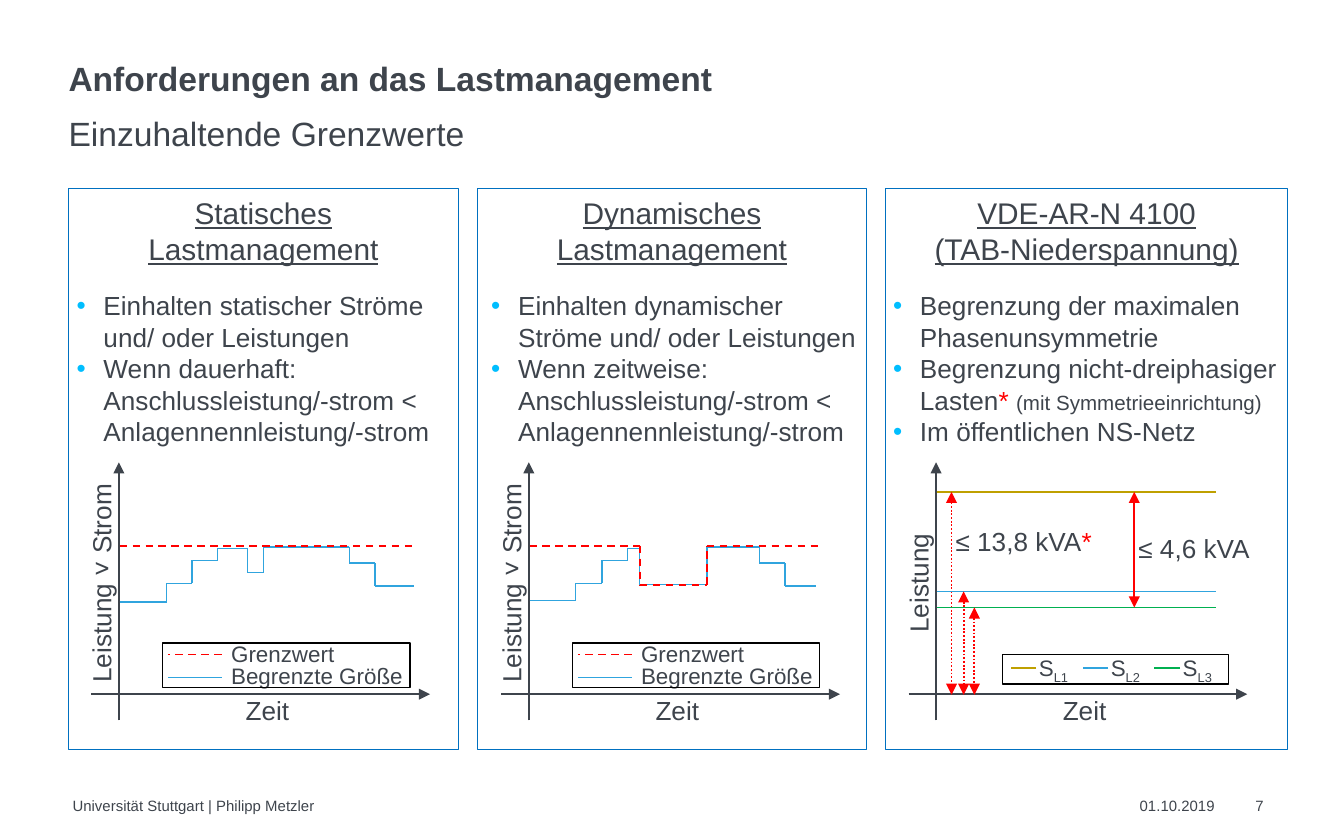
"""Build the slide on limits for load management on a grid of 100 columns."""
import itertools

import pptx
import pptx.dml.color
import pptx.enum.dml
import pptx.enum.text
import pptx.oxml.ns
import pptx.util
from lxml import etree

INK, RED, BLUE, GREEN, GOLD = "3E444C", "FF0000", "30A4DE", "00B050", "BFA000"
FRAME, BLACK, BULLET = "0070C0", "000000", "00BEFF"
DASH = pptx.enum.dml.MSO_LINE.DASH
DOTS = pptx.enum.dml.MSO_LINE.ROUND_DOT
ALIGN = pptx.enum.text.PP_ALIGN
ANCHOR = pptx.enum.text.MSO_ANCHOR
qn = pptx.oxml.ns.qn
rgb = pptx.dml.color.RGBColor.from_string

deck = pptx.Presentation()
deck.slide_width = pptx.util.Inches(10)
deck.slide_height = pptx.util.Inches(6.25)
cell = deck.slide_width // 100
slide = deck.slides.add_slide(deck.slide_layouts[4])
shapes = slide.shapes


def trace(points, colour, width=0.75, dash=None, ends=()):
    """Draw connectors from each grid point to the next."""
    spots = [(round(x * cell), round(y * cell)) for x, y in points]
    for begin, finish in itertools.pairwise(spots):
        segment = shapes.add_connector(1, *begin, *finish)
        segment.line.color.rgb = rgb(colour)
        segment.line.width = pptx.util.Pt(width)
        if dash:
            segment.line.dash_style = dash
        properties = segment._element.spPr
        for end in ends:
            etree.SubElement(properties.find(qn("a:ln")), qn(f"a:{end}"), type="triangle")
        etree.SubElement(properties, qn("a:effectLst"))


def write(place, paragraphs, size, box=None, align=ALIGN.LEFT, anchor=ANCHOR.TOP,
          spacing=1, before=0, bullet=False, bold=False, underline=False, inset=(0, 0)):
    """Fill a text box or shape; a paragraph is a list of (text, size, colour, baseline)."""
    lengths = [round(part * cell) for part in place]
    box = box or shapes.add_textbox(*lengths)
    box.left, box.top, box.width, box.height = lengths
    frame = box.text_frame
    frame.word_wrap = True
    frame.auto_size = pptx.enum.text.MSO_AUTO_SIZE.NONE
    frame.vertical_anchor = anchor
    frame.margin_left = frame.margin_right = round(inset[0] * cell)
    frame.margin_top = frame.margin_bottom = round(inset[1] * cell)
    for index, runs in enumerate(paragraphs):
        paragraph = frame.add_paragraph() if index else frame.paragraphs[0]
        paragraph.alignment = align
        paragraph.line_spacing = spacing
        paragraph.space_before = pptx.util.Pt(before)
        if bullet:
            settings = paragraph._p.get_or_add_pPr()
            settings.set("marL", str(2 * cell))
            settings.set("indent", str(-2 * cell))
            tint = etree.SubElement(settings, qn("a:buClr"))
            etree.SubElement(tint, qn("a:srgbClr"), val=BULLET)
            etree.SubElement(settings, qn("a:buChar"), char="•")
        font = paragraph.font
        font.name, font.size = "Arial", pptx.util.Pt(size)
        font.bold, font.underline = bold, underline
        font.color.rgb = rgb(INK)
        for text, run_size, colour, baseline in [
                (run, None, None, None) if isinstance(run, str) else run for run in runs]:
            piece = paragraph.add_run()
            piece.text = text
            if run_size:
                piece.font.size = pptx.util.Pt(run_size)
            if colour:
                piece.font.color.rgb = rgb(colour)
            if baseline:
                piece.font._element.set("baseline", str(baseline))


title, subtitle, *bullet_lists = slide.placeholders
write((5.1, 4.35, 89.8, 3), [["Anforderungen an das Lastmanagement"]], 18, title,
      anchor=ANCHOR.BOTTOM, spacing=0.9, bold=True)
write((5.1, 7.8, 89.8, 3), [["Einzuhaltende Grenzwerte"]], 18, subtitle,
      spacing=1.2, before=7.5)
for column, width, footer in [
        (5.4, 66, "Universität Stuttgart | Philipp Metzler"),
        (84.8, 5.8, "01.10.2019"), (93.4, 2.4, "7")]:
    write((column, 59.3, width, 1.4), [[footer]], 8)

panels = [
    (29, 5.7, 27.9, 8.85, "Leistung ˅ Strom",
     [["Statisches Lastmanagement"]],
     [["Einhalten statischer Ströme und/ oder Leistungen"],
      ["Wenn dauerhaft: Anschlussleistung/-strom < Anlagennennleistung/-strom"]]),
    (29, 36.55, 27.9, 39.35, "Leistung ˅ Strom",
     [["Dynamisches Lastmanagement"]],
     [["Einhalten dynamischer Ströme und/ oder Leistungen"],
      ["Wenn zeitweise: Anschlussleistung/-strom < Anlagennennleistung/-strom"]]),
    (29.9, 66.45, 28.8, 69.65, "Leistung",
     [["VDE-AR-N 4100"], ["(TAB-Niederspannung)"]],
     [["Begrenzung der maximalen Phasenunsymmetrie"],
      ["Begrenzung nicht-dreiphasiger Lasten", ("* ", None, RED, None),
       ("(mit Symmetrieeinrichtung)", 11, None, None)],
      ["Im öffentlichen NS-Netz"]]),
]
for index, (width, list_left, list_width, axis, quantity, heading, demands) in enumerate(panels):
    panel = shapes.add_shape(1, 0, 0, cell, cell)
    panel.fill.background()
    panel.line.color.rgb = rgb(FRAME)
    panel.line.width = pptx.util.Pt(0.5)
    panel.shadow.inherit = False
    write((5.1 + 30.4 * index, 14, width, 41.75), heading, 16, panel, ALIGN.CENTER,
          underline=True, inset=(1, 0.5))
    write((list_left, 20.8, list_width, 13.2), demands, 14, bullet_lists[index],
          anchor=ANCHOR.MIDDLE, bullet=True)
    trace([(axis - 2.05, 51.65), (axis + 23.15, 51.65)], INK, 1, ends=["tailEnd"])
    trace([(axis, 53.6), (axis, 34.4)], INK, 1, ends=["tailEnd"])
    write((axis + 1.3, 51.7, 19.5, 3), [["Zeit"]], 14, align=ALIGN.CENTER)
    write((axis - 10.75, 41.9, 19.5, 3), [[quantity]], 14, align=ALIGN.CENTER)
    shapes[-1].rotation = 270

profiles = [
    (8.9, [(3.5, 44.8), (5.4, 43.4), (7.3, 41.7), (9.5, 40.8),
           (10.7, 42.6), (17.1, 40.7), (19, 41.9), (21.9, 43.6)], [(21.9, 40.6)]),
    (39.4, [(3.4, 44.7), (5.4, 43.4), (7.3, 41.7), (8.2, 40.8),
            (13.2, 43.5), (17.1, 40.7), (19, 41.9), (21.3, 43.6)],
     [(8.2, 40.6), (13.2, 43.5), (21.8, 40.6)]),
]
legend_frames = [(74.6, 48.7, 16.8, 2.2)]
for axis, load, limit in profiles:
    for steps, colour, width, dash in [(load, BLUE, 0.75, None), (limit, RED, 1, DASH)]:
        start, corners = axis, []
        for end, level in steps:
            corners += [(start, level), (axis + end, level)]
            start = axis + end
        trace(corners, colour, width, dash)
    legend_frames.append((axis + 3.2, 47.85, 18.4, 3.3))
    for row, label, colour, width, dash in [
            (48.7, "Grenzwert", RED, 1, DASH), (50.4, "Begrenzte Größe", BLUE, 0.75, None)]:
        trace([(axis + 7.6, row), (axis + 3.6, row)], colour, width, dash)
        write((axis + 8.3, row - 1.1, 16, 1.9), [[label]], 12)

for index, (level, colour, arrow) in enumerate(
        [(36.6, GOLD, 70.8), (44, BLUE, 71.7), (45.2, GREEN, 72.5)]):
    trace([(69.7, level), (90.5, level)], colour)
    trace([(arrow, level), (arrow, 51.7)], RED, 1, DOTS, ["headEnd", "tailEnd"])
    key = 75.2 + 5.35 * index
    trace([(key + 1.9, 49.7), (key, 49.7)], colour)
    write((key + 2.1, 48.7, 2.5, 2.3), [["S", (f"L{index + 1}", None, None, -25000)]], 12)
trace([(84.4, 36.6), (84.4, 45.2)], RED, 1, ends=["headEnd", "tailEnd"])
write((84.7, 39.6, 11.8, 2.9), [["≤ 4,6 kVA"]], 14)
write((71.1, 39.1, 11.8, 2.9), [["≤ 13,8 kVA", ("*", None, RED, None)]], 14)

for place in legend_frames:
    legend = shapes.add_shape(1, *[round(part * cell) for part in place])
    legend.fill.background()
    legend.line.color.rgb = rgb(BLACK)
    legend.line.width = pptx.util.Pt(0.75)
    legend.shadow.inherit = False

deck.save("out.pptx")
